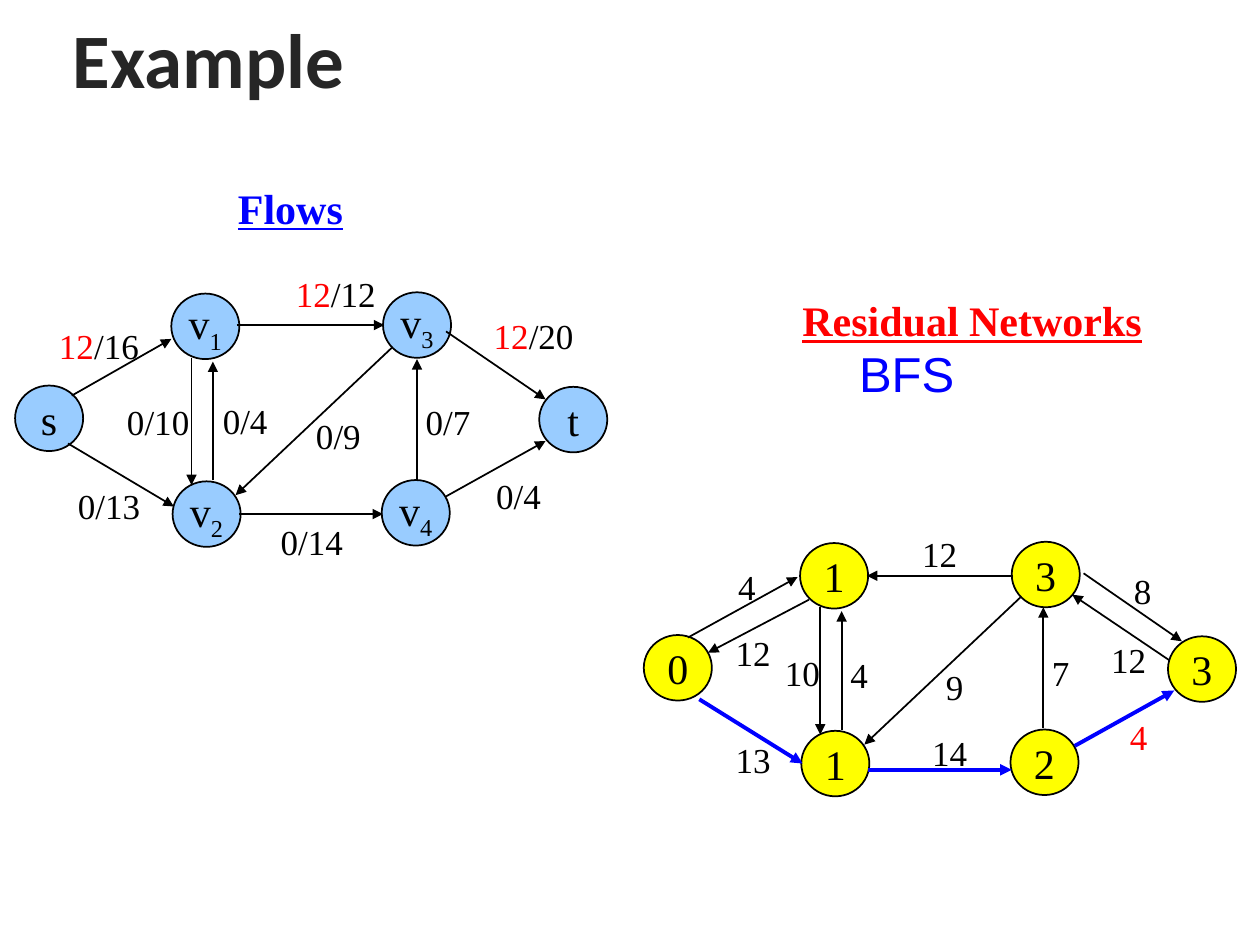
from lxml import etree
from pptx import Presentation
from pptx import util as u
from pptx.dml.color import RGBColor
from pptx.enum import shapes, text
from pptx.oxml.ns import qn

COLORS = {"black": "000000", "title": "262626", "red": "FF0000", "blue": "0000FF",
          "flow_node": "99CCFF", "residual_node": "FFFF00"}
SERIF = "Times New Roman"

# The slide is a grid of 100 columns by 75 rows of square cells.
CELL = u.Inches(0.1)
COLUMNS, ROWS = 100, 75
NODE_SIZE = (5.4, 5.2)
LABEL_WIDTHS = {1: 3.4, 2: 4.8, 3: 5.6, 4: 7, 5: 8.4}  # by number of characters
LABEL_HEIGHT = 4.4

# Both networks share these places, relative to the origin of each network.
NODES = {"s": (1.2, 30.6), "t": (42.8, 30.7), "v3": (30.4, 23.2),
         "v4": (30.3, 38.1), "v2": (13.7, 38.2), "v1": (13.6, 23.3)}
SHARED_EDGES = [(15.2, 28.4, 15.2, 38.5), (16.9, 38.1, 16.9, 28.7),
                (31.1, 27.6, 18.7, 39.3)]
SINK_EDGE = (35.4, 39.4, 43.3, 35)

FLOWS = {
    "origin": (0, 0),
    "fill": "flow_node",
    "nodes": {name: name for name in NODES},
    "edges": SHARED_EDGES + [
        (5.7, 31.4, 13.6, 26.9), (5.4, 35.2, 13.8, 40.2), (18.8, 25.8, 30.5, 25.8),
        (33.1, 38.1, 33.1, 28.5), (19, 40.8, 30.4, 40.8), (35.4, 26.3, 43.3, 31.7),
        SINK_EDGE],
    "path_edges": [],
    "labels": [
        ("12/16", 3.7, 25.3), ("0/13", 5.2, 38), ("0/10", 9.1, 31.3),
        ("0/4", 16.7, 31.2), ("0/14", 21.3, 40.8), ("0/9", 24.1, 32.4),
        ("0/7", 32.8, 31.3), ("12/20", 38.2, 24.5), ("0/4", 38.4, 37.2),
        ("12/12", 22.5, 21.1)],
    "path_labels": [],
}
RESIDUAL = {
    "origin": (49.9, 19.8),
    "fill": "residual_node",
    "nodes": {"s": "0", "t": "3", "v3": "3", "v4": "2", "v2": "1", "v1": "1"},
    "edges": SHARED_EDGES + [
        (30.5, 25.9, 18.9, 25.9), (32.9, 38, 32.9, 28.4), (36.1, 25.7, 43.9, 31.1),
        (42.9, 32.6, 35.2, 27.4), (4.7, 30.8, 13.4, 26), (14.3, 27.8, 6.3, 32)],
    "path_edges": [(5.6, 35.7, 13.8, 40.8), (19, 41.3, 30.4, 41.3), SINK_EDGE],
    "labels": [
        ("10", 11.4, 31.4), ("4", 16.6, 31.6), ("12", 22.3, 22), ("9", 24.2, 32.5),
        ("4", 7.7, 24.6), ("12", 7.5, 29.8), ("13", 7.5, 38.3), ("14", 23.1, 37.8),
        ("7", 32.6, 31.4), ("8", 39.1, 24.9), ("12", 37.3, 30.4)],
    "path_labels": [("4", 38.8, 36.5)],
}


def grid(*values):
    return [round(value * CELL) for value in values]


def color(name):
    return RGBColor.from_string(COLORS[name])


def set_font(paragraph, size, color_name, name=SERIF, bold=False, underline=False):
    font = paragraph.font
    font.size, font.name = u.Pt(size), name
    font.bold, font.underline = bold, underline
    font.color.rgb = color(color_name)


def add_text(slide, content, box, size, color_name, wrap=False, **style):
    frame = slide.shapes.add_textbox(*grid(*box)).text_frame
    frame.word_wrap = wrap
    if not wrap:
        frame.auto_size = text.MSO_AUTO_SIZE.SHAPE_TO_FIT_TEXT
    paragraph = frame.paragraphs[0]
    paragraph.add_run().text = content
    set_font(paragraph, size, color_name, **style)
    return frame


def add_node(slide, name, column, row, fill):
    node = slide.shapes.add_shape(shapes.MSO_SHAPE.OVAL, *grid(column, row, *NODE_SIZE))
    node.shadow.inherit = False
    node.fill.solid()
    node.fill.fore_color.rgb = color(fill)
    node.line.color.rgb = color("black")
    node.line.width = u.Pt(1)
    frame = node.text_frame
    frame.word_wrap = False
    frame.vertical_anchor = text.MSO_ANCHOR.MIDDLE
    paragraph = frame.paragraphs[0]
    paragraph.alignment = text.PP_ALIGN.CENTER
    set_font(paragraph, 24, "black")
    paragraph.add_run().text = name[0]
    if name[1:]:
        subscript = paragraph.add_run()
        subscript.text = name[1:]
        subscript._r.get_or_add_rPr().set("baseline", "-25000")


def add_arrow(slide, ends, color_name, width):
    arrow = slide.shapes.add_connector(shapes.MSO_CONNECTOR.STRAIGHT, *grid(*ends))
    arrow.line.color.rgb = color(color_name)
    arrow.line.width = u.Pt(width)
    etree.SubElement(arrow.line._get_or_add_ln(), qn("a:tailEnd"), type="triangle")
    etree.SubElement(arrow._element.spPr, qn("a:effectLst"))


def add_label(slide, content, column, row, color_name):
    box = (column, row, LABEL_WIDTHS[len(content)], LABEL_HEIGHT)
    flow, slash, capacity = content.partition("/")
    frame = add_text(slide, flow, box, 20, color_name)
    if slash:
        paragraph = frame.paragraphs[0]
        paragraph.add_run().text = slash + capacity
        if flow != "0":  # flow in use
            paragraph.runs[0].font.color.rgb = color("red")


def add_network(slide, network):
    left, top = network["origin"]
    for place, name in network["nodes"].items():
        column, row = NODES[place]
        add_node(slide, name, left + column, top + row, network["fill"])
    for key, color_name, width in (("edges", "black", 1), ("path_edges", "blue", 2.25)):
        for x1, y1, x2, y2 in network[key]:
            ends = (left + x1, top + y1, left + x2, top + y2)
            add_arrow(slide, ends, color_name, width)
    for key, color_name in (("labels", "black"), ("path_labels", "red")):
        for content, column, row in network[key]:
            add_label(slide, content, left + column, top + row, color_name)


def main():
    presentation = Presentation()
    presentation.slide_width, presentation.slide_height = grid(COLUMNS, ROWS)
    slide = presentation.slides.add_slide(presentation.slide_layouts[6])

    # Title
    title = add_text(slide, "Example", (4.8, 0.8, 91.9, 7.5), 44, "title",
                     wrap=True, name="Calibri", bold=True)
    title.vertical_anchor = text.MSO_ANCHOR.MIDDLE

    # Headings
    add_text(slide, "Flows", (17.9, 14, 10.3, 5), 24, "blue", bold=True, underline=True)
    add_text(slide, "Residual Networks", (62.7, 22.9, 29, 5), 24, "red",
             bold=True, underline=True)
    add_text(slide, "BFS", (67.2, 26.8, 21.6, 5.7), 28, "blue", wrap=True, name="Arial")

    # Networks
    for network in (FLOWS, RESIDUAL):
        add_network(slide, network)

    presentation.save("out.pptx")


if __name__ == "__main__":
    main()
